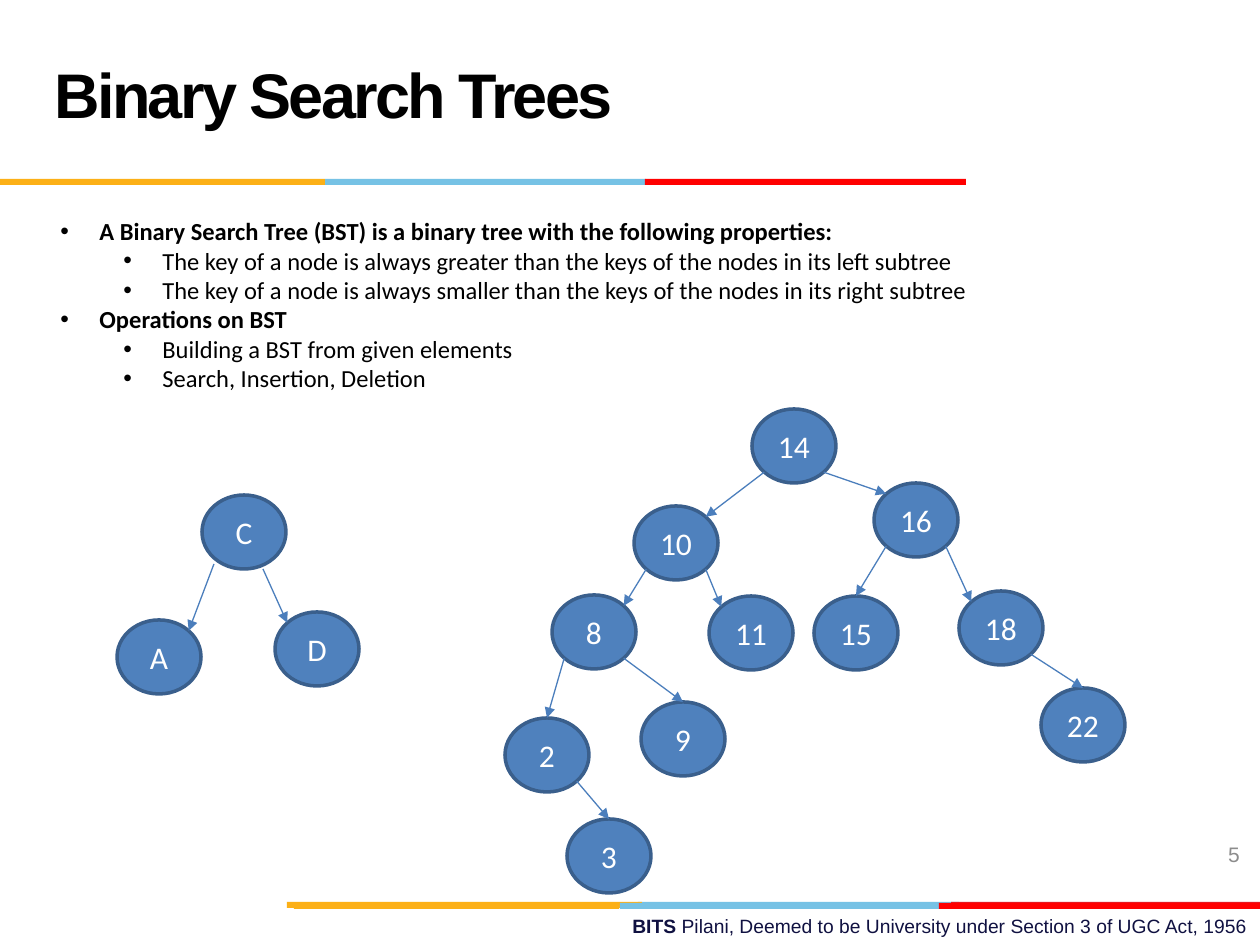
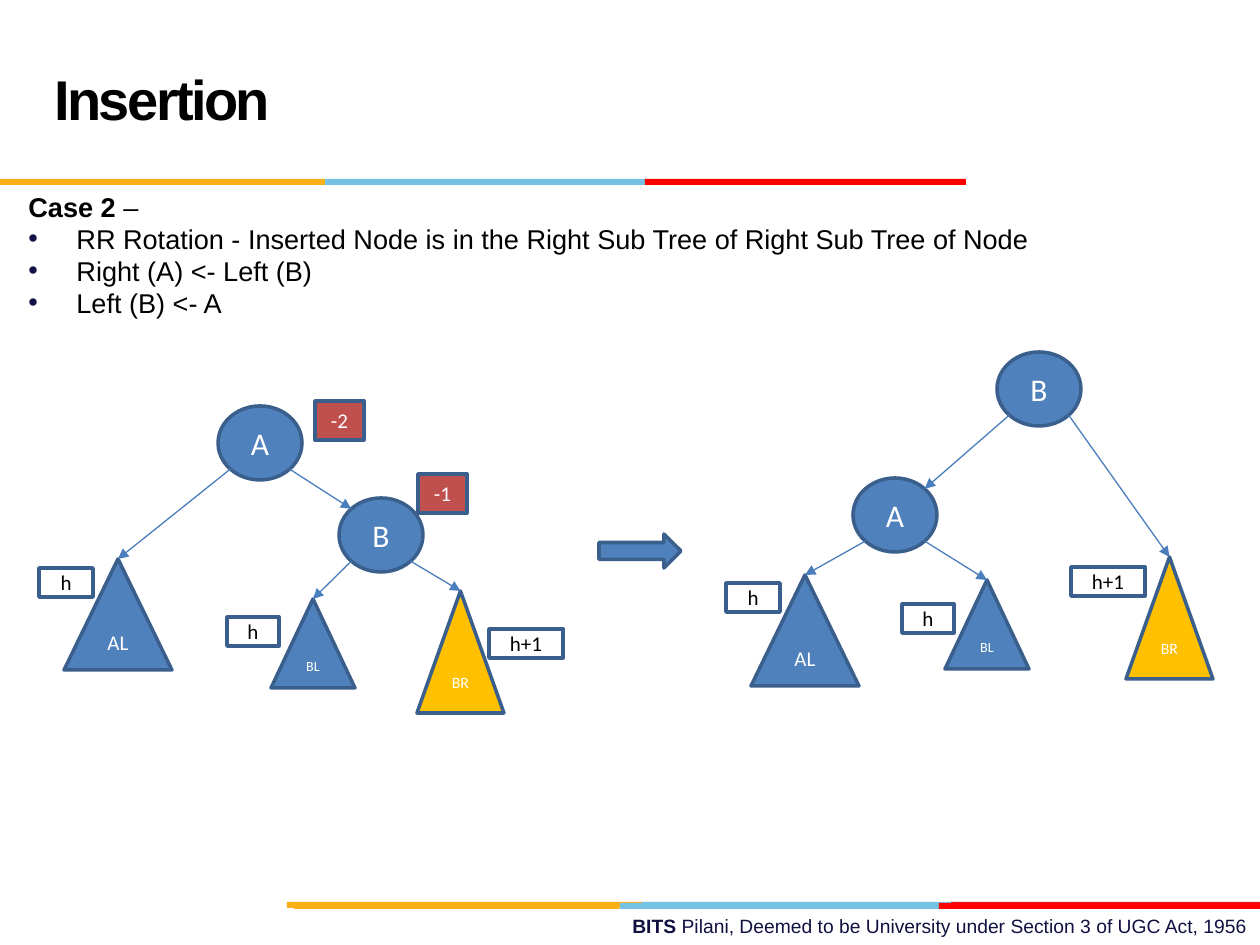
from lxml.etree import SubElement
from pptx import Presentation
from pptx.dml.color import RGBColor
from pptx.enum.shapes import MSO_CONNECTOR, MSO_SHAPE
from pptx.enum.text import MSO_ANCHOR as Anchor, PP_ALIGN as Align
from pptx.oxml.ns import qn
from pptx.util import Pt

EMU_PER_PX = 914400 / 126
BLACK = RGBColor(0x00, 0x00, 0x00)
WHITE = RGBColor(0xFF, 0xFF, 0xFF)
GRAY = RGBColor(0x8C, 0x8C, 0x8C)
NAVY = RGBColor(0x10, 0x11, 0x41)
GOLD = RGBColor(0xFC, 0xB0, 0x17)
SKY = RGBColor(0x76, 0xC2, 0xE5)
RED = RGBColor(0xFF, 0x00, 0x00)
DARK_RED = RGBColor(0xE3, 0x1C, 0x24)
BLUE = RGBColor(0x4F, 0x81, 0xBD)
OUTLINE = RGBColor(0x3A, 0x5F, 0x8C)
EDGE = RGBColor(0x4B, 0x7E, 0xBC)
AMBER = RGBColor(0xFF, 0xC0, 0x00)
BRICK = RGBColor(0xC0, 0x50, 0x4D)

BANDS = [
    (638, 902, 321, SKY), (951, 902, 309, DARK_RED), (287, 902, 355, GOLD),
    (620, 903, 321, SKY), (294, 903, 325, GOLD), (939, 903, 321, RED),
    (325, 179, 321, SKY), (0, 179, 325, GOLD), (645, 179, 321, RED),
]
NODE_WIDTH, NODE_HEIGHT = 84, 74
ARC_INSET = 0.146
HANGING = {0: 39, 1: 102}


def px(length):
    return round(length * EMU_PER_PX)


class Deck:
    def __init__(self):
        self.presentation = Presentation()
        self.presentation.slide_width = px(1260)
        self.presentation.slide_height = px(945)
        self.slide = None

    def new_slide(self, title, title_size):
        self.slide = self.presentation.slides.add_slide(self.presentation.slide_layouts[6])
        self.text((451, 908, 809, 37),
                  [[("BITS ", True), ("Pilani, Deemed to be University under Section 3 of UGC Act, 1956", False)]],
                  11, NAVY, align=Align.RIGHT)
        for left, top, width, color in BANDS:
            self.shape(MSO_SHAPE.RECTANGLE, (left, top, width, 6), color, outlined=False)
        paragraph = self.text((42, 21, 903, 158), [[(title, True)]], title_size,
                              anchor=Anchor.MIDDLE)[0]
        paragraph.line_spacing = Pt(36)
        paragraph.runs[0]._r.get_or_add_rPr().set("spc", "-150")

    def text(self, box, lines, size, color=BLACK, font="Arial", align=Align.LEFT, anchor=Anchor.TOP):
        frame = self.slide.shapes.add_textbox(*map(px, box)).text_frame
        frame.word_wrap = True
        frame.vertical_anchor = anchor
        for index, runs in enumerate(lines):
            paragraph = frame.paragraphs[0] if index == 0 else frame.add_paragraph()
            paragraph.alignment = align
            for words, bold in runs:
                run = paragraph.add_run()
                run.text = words
                self.style(run.font, size, color, font, bold)
        return frame.paragraphs

    def style(self, font, size, color, name, bold=False):
        font.size, font.name, font.bold = Pt(size), name, bold
        font.color.rgb = color

    def bullet(self, paragraph, margin, hanging, color):
        properties = paragraph._p.get_or_add_pPr()
        properties.set("marL", str(px(margin)))
        properties.set("indent", str(-px(hanging)))
        bullet_color = SubElement(properties, qn("a:buClr"))
        SubElement(bullet_color, qn("a:srgbClr"), val=str(color))
        SubElement(properties, qn("a:buFont"), typeface="Arial")
        SubElement(properties, qn("a:buChar"), char="•")

    def shape(self, kind, box, fill, label="", size=12, color=WHITE, outlined=True):
        shape = self.slide.shapes.add_shape(kind, *map(px, box))
        shape.shadow.inherit = False
        shape.fill.solid()
        shape.fill.fore_color.rgb = fill
        if outlined:
            shape.line.color.rgb = OUTLINE
            shape.line.width = Pt(2)
        else:
            shape.line.fill.background()
        if label:
            frame = shape.text_frame
            frame.text = label
            frame.word_wrap = False
            frame.vertical_anchor = Anchor.MIDDLE
            paragraph = frame.paragraphs[0]
            paragraph.alignment = Align.CENTER
            self.style(paragraph.runs[0].font, size, color, "Calibri")
        return shape

    def node(self, label, left, top):
        return self.shape(MSO_SHAPE.FLOWCHART_CONNECTOR, (left, top, NODE_WIDTH, NODE_HEIGHT),
                          BLUE, label, 18)

    def subtree(self, label, left, top):
        width, height, fill, size = {
            "AL": (108, 111, BLUE, 12), "BL": (84, 89, BLUE, 8), "BR": (87, 122, AMBER, 9),
        }[label]
        return self.shape(MSO_SHAPE.ISOSCELES_TRIANGLE, (left, top, width, height), fill, label, size)

    def height_label(self, label, left, top, width):
        self.shape(MSO_SHAPE.RECTANGLE, (left, top, width, 29), WHITE, label, color=BLACK)

    def balance(self, label, left, top):
        self.shape(MSO_SHAPE.RECTANGLE, (left, top, 49, 39), BRICK, label)

    def arc_point(self, shape, right, lower):
        across = 1 - ARC_INSET if right else ARC_INSET
        down = 1 - ARC_INSET if lower else ARC_INSET
        return round(shape.left + shape.width * across), round(shape.top + shape.height * down)

    def edge(self, parent, child, to_top=False, start=None):
        goes_right = child.left + child.width / 2 > parent.left + parent.width / 2
        begin = tuple(map(px, start)) if start else self.arc_point(parent, goes_right, True)
        end = self.arc_point(child, not goes_right, False)
        line = self.slide.shapes.add_connector(MSO_CONNECTOR.STRAIGHT, *begin, *end)
        if to_top:
            line.end_connect(child, 0)
        line.line.color.rgb = EDGE
        line.line.width = Pt(0.75)
        SubElement(line.line._get_or_add_ln(), qn("a:tailEnd"), type="triangle")
        SubElement(line._element.spPr, qn("a:effectLst"))


def search_trees(deck):
    deck.new_slide("Binary Search Trees", 36)
    deck.text((959, 829, 293, 50), [[("5", False)]], 12, GRAY, align=Align.RIGHT, anchor=Anchor.MIDDLE)
    outline = [
        (0, "A Binary Search Tree (BST) is a binary tree with the following properties:"),
        (1, "The key of a node is always greater than the keys of the nodes in its left subtree"),
        (1, "The key of a node is always smaller than the keys of the nodes in its right subtree"),
        (0, "Operations on BST"),
        (1, "Building a BST from given elements"),
        (1, "Search, Insertion, Deletion"),
    ]
    paragraphs = deck.text((48, 210, 1166, 190), [[(words, level == 0)] for level, words in outline],
                           14, font="Calibri")
    for paragraph, (level, _) in zip(paragraphs, outline):
        paragraph.level = level
        deck.bullet(paragraph, HANGING[level], 39, BLACK)

    places = {
        "A": (117, 620), "C": (202, 495), "D": (275, 612),
        "14": (752, 409), "10": (634, 506), "16": (874, 483), "8": (552, 595), "11": (709, 596),
        "15": (814, 596), "18": (959, 591), "2": (505, 718), "9": (641, 702), "22": (1041, 688),
        "3": (567, 819),
    }
    nodes = {key: deck.node(key, *place) for key, place in places.items()}
    deck.edge(nodes["C"], nodes["A"], start=(214, 564))
    deck.edge(nodes["C"], nodes["D"], start=(263, 569))
    for parent, child in [("14", "10"), ("14", "16"), ("10", "8"), ("10", "11"), ("16", "18")]:
        deck.edge(nodes[parent], nodes[child])
    for parent, child in [("16", "15"), ("8", "2"), ("8", "9"), ("18", "22"), ("2", "3")]:
        deck.edge(nodes[parent], nodes[child], to_top=True)


def rotation_tree(deck, root, inner, subtrees, outer_label):
    root_node, inner_node = deck.node(*root), deck.node(*inner)
    deck.edge(root_node, inner_node)
    for label, left, top in subtrees:
        parent = root_node if label == outer_label else inner_node
        deck.edge(parent, deck.subtree(label, left, top), to_top=True)


def insertion(deck):
    deck.new_slide("Insertion", 32)
    paragraphs = deck.text((16, 190, 1092, 155), [
        [("Case 2 ", True), ("–", False)],
        [("RR Rotation - Inserted Node is in the Right Sub Tree of Right Sub Tree of Node", False)],
        [("Right (A) <- Left (B)", False)],
        [("Left (B) <- A", False)],
    ], 15.5)
    for index, paragraph in enumerate(paragraphs):
        paragraph.line_spacing = 0.8
        if index:
            deck.bullet(paragraph, 48, 48, NAVY)
            paragraph.space_before = Pt(3.5)

    rotation_tree(deck, ("A", 218, 406), ("B", 339, 498),
                  [("AL", 64, 559), ("BL", 271, 599), ("BR", 417, 591)], "AL")
    rotation_tree(deck, ("B", 997, 352), ("A", 853, 478),
                  [("AL", 751, 575), ("BL", 945, 580), ("BR", 1126, 557)], "BR")
    deck.shape(MSO_SHAPE.RIGHT_ARROW, (599, 534, 82, 34), BLUE)
    for label in [("h", 39, 568, 54), ("h", 227, 617, 52), ("h+1", 489, 629, 74),
                  ("h", 726, 583, 54), ("h", 902, 604, 52), ("h+1", 1071, 567, 74)]:
        deck.height_label(*label)
    deck.balance("-2", 315, 401)
    deck.balance("-1", 418, 474)


def main():
    deck = Deck()
    search_trees(deck)
    insertion(deck)
    deck.presentation.save("out.pptx")


if __name__ == "__main__":
    main()
